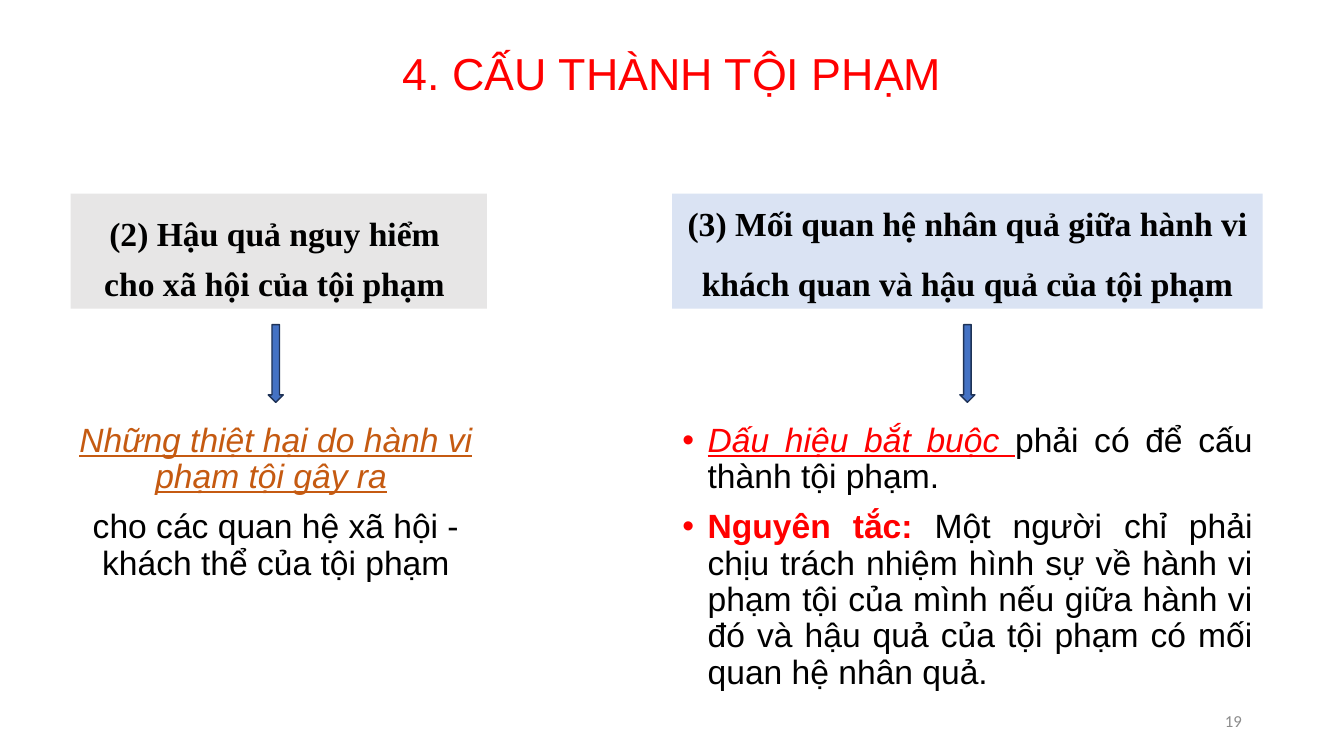
from lxml import etree
from pptx import Presentation
from pptx.dml.color import RGBColor
from pptx.enum.shapes import MSO_SHAPE
from pptx.enum.text import MSO_ANCHOR, MSO_AUTO_SIZE, PP_ALIGN
from pptx.oxml.ns import qn
from pptx.util import Cm, Pt

DOWN_ARROW = MSO_SHAPE.DOWN_ARROW
TOP, MIDDLE, BOTTOM = MSO_ANCHOR.TOP, MSO_ANCHOR.MIDDLE, MSO_ANCHOR.BOTTOM
CENTER, JUSTIFY, RIGHT = PP_ALIGN.CENTER, PP_ALIGN.JUSTIFY, PP_ALIGN.RIGHT
NO_AUTOFIT = MSO_AUTO_SIZE.NONE

BLACK = RGBColor(0x00, 0x00, 0x00)
RED = RGBColor(0xFF, 0x00, 0x00)
ORANGE = RGBColor(0xC5, 0x5A, 0x11)
PALE_GRAY = RGBColor(0xE7, 0xE6, 0xE6)
PALE_BLUE = RGBColor(0xDA, 0xE3, 0xF3)
ARROW_BLUE = RGBColor(0x44, 0x72, 0xC4)
ARROW_EDGE = RGBColor(0x1E, 0x32, 0x56)
NUMBER_GRAY = RGBColor(0x8C, 0x8C, 0x8C)

COMPARISON_LAYOUT = 4
HEADING_TOP, HEADING_HEIGHT = Cm(4.88), Cm(2.9)
ARROW_WIDTH, ARROW_HEIGHT = Cm(0.38), Cm(1.96)
GAP = Cm(0.4)
BULLET_INDENT = Cm(0.64)


def place(shape, left, top, width, height):
    shape.left, shape.top, shape.width, shape.height = left, top, width, height


def set_bullet(para, bulleted):
    properties = para._p.get_or_add_pPr()
    indent = BULLET_INDENT if bulleted else 0
    properties.set("marL", str(indent))
    properties.set("indent", str(-indent))
    if bulleted:
        etree.SubElement(properties, qn("a:buFont")).set("typeface", "Arial")
        etree.SubElement(properties, qn("a:buChar")).set("char", "•")
    else:
        etree.SubElement(properties, qn("a:buNone"))


def write_text(shape, paragraphs, font="Arial", size=24, align=CENTER,
               anchor=TOP, line_spacing=0.9, bulleted=False):
    """Fill a shape; each paragraph is a list of (text, colour, styles) spans."""
    frame = shape.text_frame
    frame.word_wrap = True
    frame.auto_size = NO_AUTOFIT
    frame.vertical_anchor = anchor
    for index, spans in enumerate(paragraphs):
        para = frame.add_paragraph() if index else frame.paragraphs[0]
        set_bullet(para, bulleted)
        para.alignment = align
        para.line_spacing = line_spacing
        para.space_before = Pt(10 if index else 0)
        for text, color, styles in spans:
            span = para.add_run()
            span.text = text
            span.font.name = font
            span.font.size = Pt(size)
            span.font.color.rgb = color
            span.font.bold = "b" in styles
            span.font.italic = "i" in styles
            span.font.underline = "u" in styles


def add_title(page, text):
    title = page.shapes.title
    place(title, Cm(2.34), Cm(0.71), Cm(29.21), Cm(2.41))
    write_text(title, [[(text, RED, "")]], size=32, anchor=MIDDLE)


def add_heading(heading, left, width, lines, fill, line_spacing):
    place(heading, left, HEADING_TOP, width, HEADING_HEIGHT)
    heading.fill.solid()
    heading.fill.fore_color.rgb = fill
    write_text(heading, [[(line, BLACK, "b")] for line in lines],
               font="Times New Roman", anchor=BOTTOM, line_spacing=line_spacing)


def add_explanation(page, body, left, width, height, paragraphs, **text_format):
    """Place the text under a heading, with an arrow centred above it."""
    arrow_top = HEADING_TOP + HEADING_HEIGHT + GAP
    arrow = page.shapes.add_shape(
        DOWN_ARROW, left + (width - ARROW_WIDTH) // 2, arrow_top,
        ARROW_WIDTH, ARROW_HEIGHT)
    arrow.shadow.inherit = False
    arrow.fill.solid()
    arrow.fill.fore_color.rgb = ARROW_BLUE
    arrow.line.color.rgb = ARROW_EDGE
    arrow.line.width = Pt(1)
    place(body, left, arrow_top + ARROW_HEIGHT + GAP, width, height)
    write_text(body, paragraphs, **text_format)


def add_page_number(page, number):
    box = page.shapes.add_textbox(Cm(23.93), Cm(17.65), Cm(7.62), Cm(1.02))
    write_text(box, [[(number, NUMBER_GRAY, "")]], font="Calibri", size=12,
               align=RIGHT, anchor=MIDDLE, line_spacing=1.0)


def main():
    deck = Presentation()
    deck.slide_width, deck.slide_height = Cm(33.87), Cm(19.05)
    page = deck.slides.add_slide(deck.slide_layouts[COMPARISON_LAYOUT])
    _, left_heading, left_body, right_heading, right_body = page.placeholders

    add_title(page, "4. CẤU THÀNH TỘI PHẠM")
    add_heading(left_heading, Cm(1.78), Cm(10.49),
                ["(2) Hậu quả nguy hiểm ", "cho xã hội của tội phạm "],
                PALE_GRAY, 0.9)
    add_explanation(page, left_body, Cm(0.97), Cm(11.96), Cm(5.41), [
        [("Những thiệt hại do hành vi phạm tội gây ra", ORANGE, "iu"),
         (" ", BLACK, "")],
        [("cho các quan hệ xã hội - khách thể của tội phạm", BLACK, "")],
    ])

    right_left, right_width = Cm(16.94), Cm(14.88)
    add_heading(right_heading, right_left, right_width,
                ["(3) Mối quan hệ nhân quả giữa hành vi khách quan "
                 "và hậu quả của tội phạm"], PALE_BLUE, 1.5)
    add_explanation(page, right_body, right_left, right_width, Cm(8.13), [
        [("Dấu hiệu bắt buộc ", RED, "iu"),
         ("phải có để cấu thành tội phạm. ", BLACK, "")],
        [("Nguyên tắc: ", RED, "b"),
         ("Một người chỉ phải chịu trách nhiệm hình sự về hành vi phạm tội "
          "của mình nếu giữa hành vi đó và hậu quả của tội phạm có mối quan "
          "hệ nhân quả.", BLACK, "")],
    ], align=JUSTIFY, bulleted=True)
    add_page_number(page, "19")
    deck.save("out.pptx")


if __name__ == "__main__":
    main()
